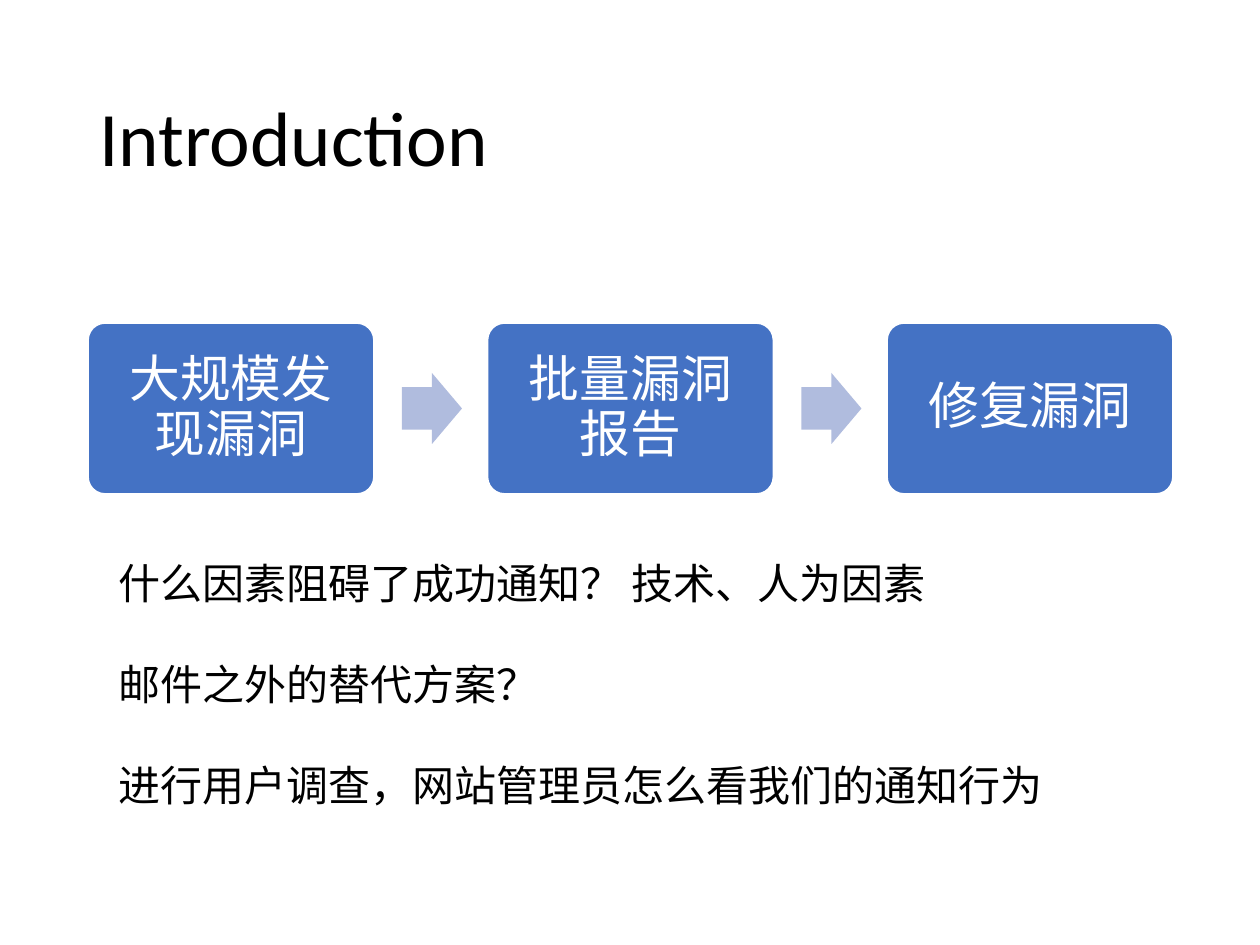
from pptx import Presentation, util as u
from pptx.dml.color import RGBColor
from pptx.enum import shapes, text

BLACK = RGBColor(0, 0, 0)
WHITE = RGBColor(255, 255, 255)
BLUE = RGBColor(0x44, 0x72, 0xC4)
PALE_BLUE = RGBColor(0xB0, 0xBC, 0xDE)
STEPS = ("大规模发现漏洞", "批量漏洞报告", "修复漏洞")
QUESTIONS = (
    "什么因素阻碍了成功通知？ 技术、人为因素",
    "邮件之外的替代方案？",
    "进行用户调查，网站管理员怎么看我们的通知行为",
)


def px(length):
    """Turn pixels, 126 to the inch, into EMU."""
    return u.Emu(round(length * 914400 / 126))


def style(paragraph, size, color):
    """Set the font of one paragraph."""
    paragraph.font.name = "Calibri"
    paragraph.font.size = u.Pt(size)
    paragraph.font.color.rgb = color


def add_title(slide, left, top, width, height):
    """Place the slide title, centred vertically in its box."""
    frame = slide.shapes.add_textbox(*map(px, (left, top, width, height))).text_frame
    frame.word_wrap = True
    frame.vertical_anchor = text.MSO_ANCHOR.MIDDLE
    heading = frame.paragraphs[0]
    heading.text = "Introduction"
    heading.line_spacing = 0.9
    style(heading, 44, BLACK)


def add_block(slide, kind, adjustments, color, left, top, width, height):
    """Place one flat filled shape without a shadow."""
    block = slide.shapes.add_shape(kind, *map(px, (left, top, width, height)))
    for index, value in enumerate(adjustments):
        block.adjustments[index] = value
    block.shadow.inherit = False
    block.fill.solid()
    block.fill.fore_color.rgb = color
    block.line.fill.background()
    return block


def add_step(slide, label, left, top, width, height):
    """Place one labelled step of the process."""
    step = add_block(slide, shapes.MSO_SHAPE.ROUNDED_RECTANGLE, [0.1], BLUE,
                     left, top, width, height)
    step.line.color.rgb = WHITE
    step.line.width = u.Pt(1)
    frame = step.text_frame
    frame.word_wrap = True
    frame.vertical_anchor = text.MSO_ANCHOR.MIDDLE
    frame.margin_left = frame.margin_right = px(15)
    frame.margin_top = frame.margin_bottom = px(15)
    caption = frame.paragraphs[0]
    caption.text = label
    caption.alignment = text.PP_ALIGN.CENTER
    caption.line_spacing = 0.9
    style(caption, 29, WHITE)


def add_process(slide, left, top, width, height):
    """Place the steps at equal distances with an arrow in each gap."""
    step_width, arrow_width, arrow_height = 286, 60, 71
    pitch = (width - step_width) / (len(STEPS) - 1)
    for index, label in enumerate(STEPS):
        step_left = left + index * pitch
        add_step(slide, label, step_left, top, step_width, height)
        if index < len(STEPS) - 1:
            add_block(slide, shapes.MSO_SHAPE.RIGHT_ARROW, [0.6, 0.5], PALE_BLUE,
                      step_left + step_width + 28, top + (height - arrow_height) / 2,
                      arrow_width, arrow_height)


def add_questions(slide, left, top, width, height):
    """Place the research questions as spaced paragraphs."""
    frame = slide.shapes.add_textbox(*map(px, (left, top, width, height))).text_frame
    frame.word_wrap = True
    frame.text = "\n".join(QUESTIONS)
    for question in frame.paragraphs:
        question.space_after = u.Pt(29)
        style(question, 24, BLACK)


def main():
    """Build and save the introduction slide."""
    deck = Presentation()
    deck.slide_width, deck.slide_height = px(1260), px(945)
    slide = deck.slides.add_slide(deck.slide_layouts[6])
    add_title(slide, 87, 50, 1086, 183)
    add_process(slide, 88, 323, 1085, 171)
    add_questions(slide, 106, 551, 1067, 267)
    deck.save("out.pptx")


if __name__ == "__main__":
    main()
